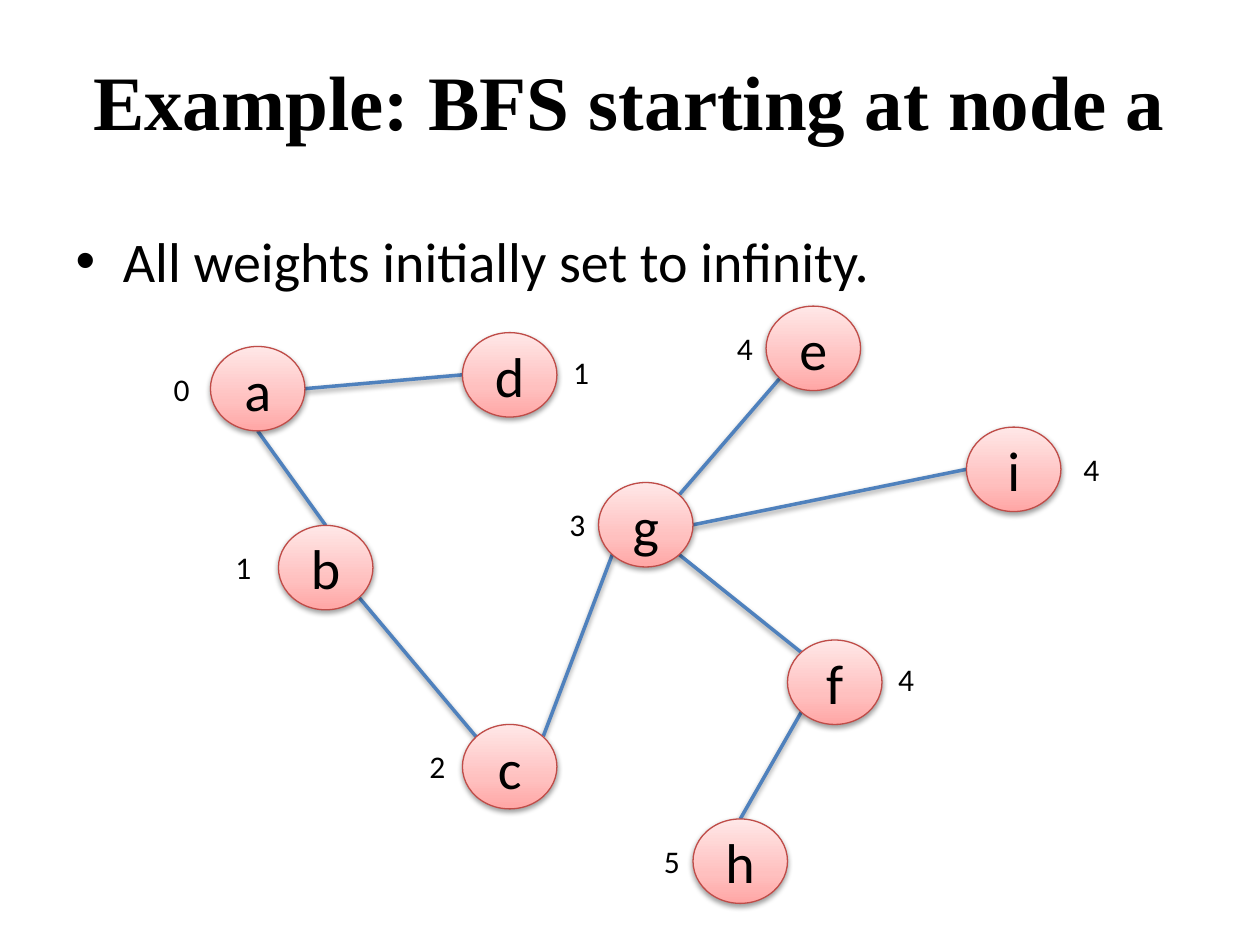
import math

from lxml import etree
from pptx import Presentation
from pptx.dml.color import RGBColor
from pptx.enum.shapes import MSO_CONNECTOR, MSO_SHAPE
from pptx.enum.text import MSO_ANCHOR, PP_ALIGN
from pptx.oxml import parse_xml
from pptx.oxml.ns import nsdecls, qn
from pptx.util import Inches, Pt

OVAL = MSO_SHAPE.OVAL
STRAIGHT = MSO_CONNECTOR.STRAIGHT
MIDDLE = MSO_ANCHOR.MIDDLE
CENTER = PP_ALIGN.CENTER

BLACK = RGBColor(0x00, 0x00, 0x00)
NODE_LINE = RGBColor(0xBF, 0x4C, 0x48)
EDGE_LINE = RGBColor(0x4F, 0x81, 0xBD)
NODE_STOPS = (
    (0, RGBColor(0xFF, 0xA6, 0xA5)),
    (35, RGBColor(0xFF, 0xC0, 0xBF)),
    (100, RGBColor(0xFF, 0xE7, 0xE7)),
)

BODY_FONT = "Calibri"
NODE_W, NODE_H = 0.75, 0.67
LABEL_W, LABEL_H = 0.33, 0.4

# Connection sites of an oval, counted anticlockwise from the top
TOP, TOP_LEFT, LEFT, BOTTOM_LEFT, BOTTOM, BOTTOM_RIGHT, RIGHT, TOP_RIGHT = range(8)

# name: (node left, node top, distance, label left, label top)
NODES = {
    "a": (1.67, 2.75, "0", 1.28, 2.89),
    "b": (2.21, 4.17, "1", 1.77, 4.3),
    "d": (3.67, 2.64, "1", 4.45, 2.75),
    "c": (3.67, 5.75, "2", 3.31, 5.88),
    "g": (4.75, 3.83, "3", 4.42, 3.96),
    "e": (6.08, 2.43, "4", 5.75, 2.56),
    "i": (7.67, 3.39, "4", 8.5, 3.52),
    "f": (6.25, 5.08, "4", 7.03, 5.19),
    "h": (5.5, 6.5, "5", 5.17, 6.63),
}
EDGES = (
    ("a", BOTTOM, "b", TOP),
    ("a", RIGHT, "d", LEFT),
    ("b", BOTTOM_RIGHT, "c", TOP_LEFT),
    ("c", TOP_RIGHT, "g", BOTTOM_LEFT),
    ("g", TOP_RIGHT, "e", BOTTOM_LEFT),
    ("g", BOTTOM_RIGHT, "f", TOP_LEFT),
    ("g", RIGHT, "i", LEFT),
    ("f", BOTTOM_LEFT, "h", TOP),
)


def place(shape, left, top, width, height):
    shape.left, shape.top = Inches(left), Inches(top)
    shape.width, shape.height = Inches(width), Inches(height)


def set_text(shape, text, size, font=BODY_FONT):
    p = shape.text_frame.paragraphs[0]
    p.text = text
    p.font.size = Pt(size)
    p.font.name = font
    p.font.color.rgb = BLACK
    return p


def add_shadow(shape):
    """Append a soft downward shadow; the line must already be set."""
    shape.element.spPr.append(parse_xml(
        f'<a:effectLst {nsdecls("a")}>'
        '<a:outerShdw blurRad="40000" dist="20000" dir="5400000" rotWithShape="0">'
        '<a:srgbClr val="000000"><a:alpha val="38000"/></a:srgbClr>'
        '</a:outerShdw></a:effectLst>'))


def fill_gradient(shape, stops):
    """Fill upward through the given (percent, colour) stops."""
    gs = "".join(f'<a:gs pos="{pos * 1000}"><a:srgbClr val="{color}"/></a:gs>'
                 for pos, color in stops)
    shape.element.spPr.find(qn("a:prstGeom")).addnext(parse_xml(
        f'<a:gradFill {nsdecls("a")} rotWithShape="1"><a:gsLst>{gs}</a:gsLst>'
        '<a:lin ang="16200000" scaled="0"/></a:gradFill>'))


def add_node(slide, name, left, top):
    sp = slide.shapes.add_shape(OVAL, Inches(left), Inches(top),
                                Inches(NODE_W), Inches(NODE_H))
    sp.line.color.rgb = NODE_LINE
    sp.line.width = Pt(0.75)
    fill_gradient(sp, NODE_STOPS)
    add_shadow(sp)
    sp.text_frame.vertical_anchor = MIDDLE
    set_text(sp, name, 32).alignment = CENTER
    return sp


def add_label(slide, text, left, top):
    box = slide.shapes.add_textbox(Inches(left), Inches(top),
                                   Inches(LABEL_W), Inches(LABEL_H))
    box.text_frame.word_wrap = False
    set_text(box, text, 18)


def site_point(node, site):
    angle = math.radians(90 + 45 * site)
    x = node.left + node.width / 2 * (1 + math.cos(angle))
    y = node.top + node.height / 2 * (1 - math.sin(angle))
    return round(x), round(y)


def add_edge(slide, start, start_site, end, end_site):
    line = slide.shapes.add_connector(STRAIGHT, *site_point(start, start_site),
                                      *site_point(end, end_site))
    line.line.color.rgb = EDGE_LINE
    line.line.width = Pt(2)
    add_shadow(line)
    # begin_connect knows only four sites, so the oval's eight are joined here
    joints = line.element.find(".//" + qn("p:cNvCxnSpPr"))
    for tag, node, site in (("a:stCxn", start, start_site),
                            ("a:endCxn", end, end_site)):
        etree.SubElement(joints, qn(tag), id=str(node.shape_id), idx=str(site))


def add_heading(slide, box):
    title = slide.shapes.title
    place(title, *box)
    title.text_frame.vertical_anchor = MIDDLE
    p = set_text(title, "Example: BFS starting at node a", 44, "Times New Roman")
    p.alignment = CENTER
    p.font.bold = True


def add_body(slide, box):
    body = slide.placeholders[1]
    place(body, *box)
    set_text(body, "All weights initially set to infinity.", 32)


def add_graph(slide):
    nodes = {name: add_node(slide, name, left, top)
             for name, (left, top, *_) in NODES.items()}
    for start, start_site, end, end_site in EDGES:
        add_edge(slide, nodes[start], start_site, nodes[end], end_site)
    # Bring the nodes in front of the edges
    for node in nodes.values():
        slide.shapes.element.append(node.element)
    for *_, distance, left, top in NODES.values():
        add_label(slide, distance, left, top)


def main():
    prs = Presentation()
    prs.slide_width, prs.slide_height = Inches(10), Inches(7.5)
    slide = prs.slides.add_slide(prs.slide_layouts.get_by_name("Title and Content"))
    add_heading(slide, (0.16, 0.17, 9.67, 1.25))
    add_body(slide, (0.5, 1.75, 9, 4.95))
    add_graph(slide)
    prs.save("out.pptx")


if __name__ == "__main__":
    main()
